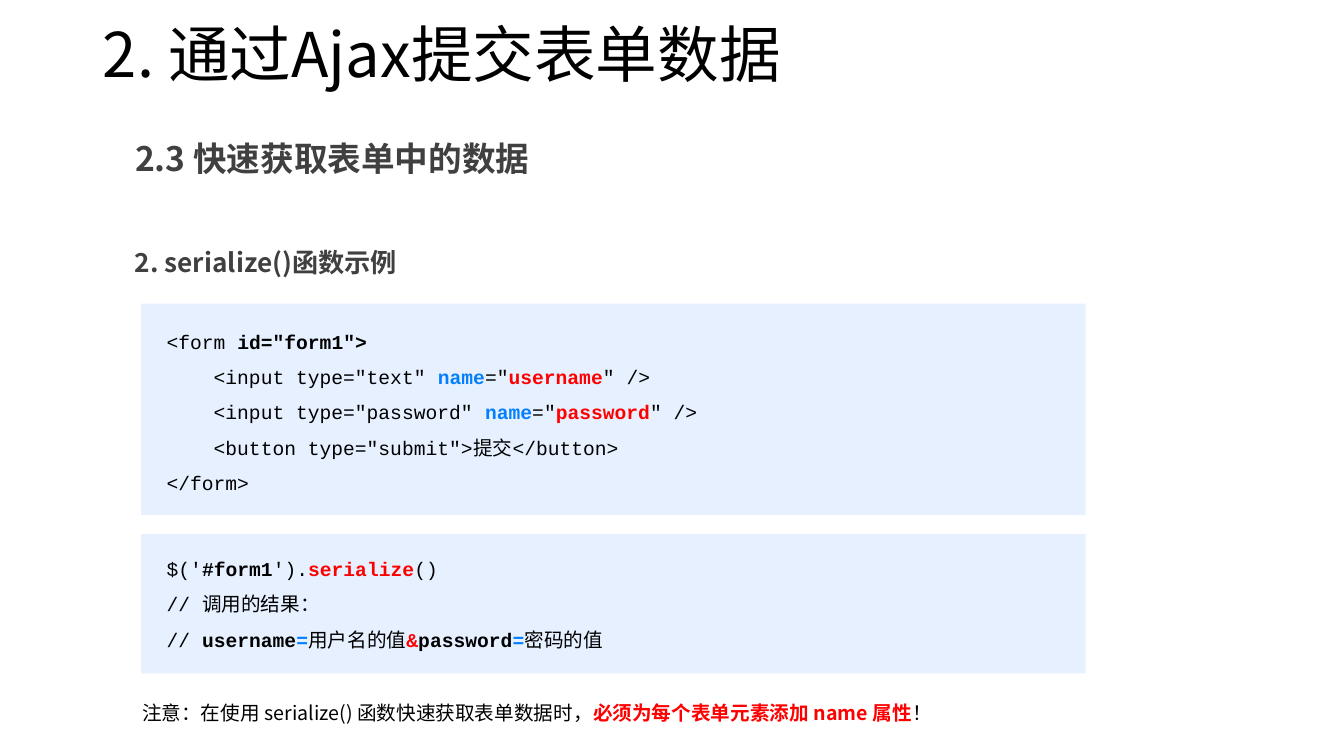
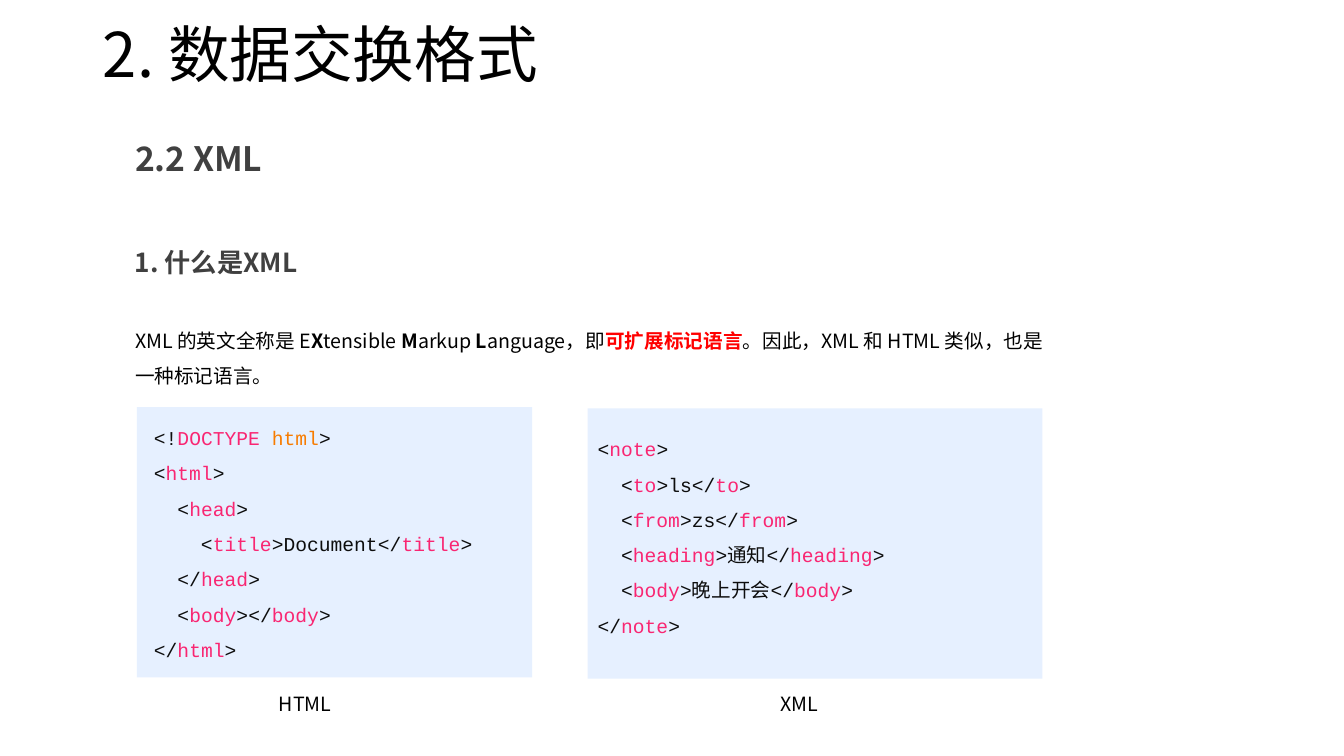
from lxml.etree import SubElement
from pptx import Presentation
from pptx.dml.color import RGBColor
from pptx.enum.shapes import MSO_SHAPE
from pptx.enum.text import MSO_ANCHOR, MSO_AUTO_SIZE, PP_ALIGN
from pptx.oxml.ns import qn
from pptx.util import Cm, Pt

SANS = "Noto Sans CJK SC"
MONO = "Courier New"
BLACK, GREY, CODE_INK, PANEL = "000000", "404040", "0D0D0D", "E6F0FF"
# Span styles: colour and bold
STRONG = (BLACK, True)
RED = ("FF0000", True)
BLUE = ("047FFD", True)
TAG = ("F92672", False)
VALUE = ("F77C00", False)
HEADING = (GREY, True)


def write(frame, lines, size, font=SANS, base=(BLACK, False), spacing=1.5):
    """Fill a frame; a line is a list of plain strings and (text, style) pairs."""
    frame.auto_size = MSO_AUTO_SIZE.NONE
    frame.word_wrap = True
    for number, spans in enumerate(lines):
        para = frame.add_paragraph() if number else frame.paragraphs[0]
        para.alignment = PP_ALIGN.LEFT
        para.line_spacing = spacing
        para.space_before = Pt(0)
        properties = para._p.get_or_add_pPr()
        properties.set("marL", "0")
        properties.set("indent", "0")
        SubElement(properties, qn("a:buNone"))
        for span in spans:
            text, (colour, bold) = (span, base) if isinstance(span, str) else span
            run = para.add_run()
            run.text = text
            run.font.name = font
            run.font.size = Pt(size)
            run.font.bold = bold
            run.font.color.rgb = RGBColor.from_string(colour)
            SubElement(run._r.get_or_add_rPr(), qn("a:ea")).set("typeface", SANS)


def add_code_panel(page, place, inset, lines, ink=BLACK):
    panel = page.shapes.add_shape(MSO_SHAPE.RECTANGLE, *map(Cm, place))
    panel.shadow.inherit = False
    panel.fill.solid()
    panel.fill.fore_color.rgb = RGBColor.from_string(PANEL)
    panel.line.fill.background()
    frame = panel.text_frame
    frame.vertical_anchor = MSO_ANCHOR.TOP
    frame.margin_left, frame.margin_top = map(Cm, inset)
    write(frame, lines, 14, MONO, (ink, False))


deck = Presentation()
deck.slide_width, deck.slide_height = Cm(33.87), Cm(19.05)

# Title, section and heading of every page; layout 1 has one body, layout 3 two
pages = []
for layout, title, section, heading in (
    (1, "2. 通过Ajax提交表单数据", "2.3 快速获取表单中的数据", "2. serialize()函数示例"),
    (3, "2. 数据交换格式", "2.2 XML", "1. 什么是XML"),
):
    page = deck.slides.add_slide(deck.slide_layouts[layout])
    heading_box = page.shapes.add_textbox(0, 0, 0, 0)
    for box, text, place, size, style in (
        (page.shapes.title, title, (2.34, 0, 24.94, 2.92), 44, (BLACK, False)),
        (page.placeholders[1], section, (3.15, 3.45, 24.13, 2.01), 24, HEADING),
        (heading_box, heading, (3.15, 6.17, 24.03, 0.97), 18.7, HEADING),
    ):
        box.left, box.top, box.width, box.height = map(Cm, place)
        write(box.text_frame, [[text]], size, base=style, spacing=0.9)
    page.shapes.title.text_frame.vertical_anchor = MSO_ANCHOR.MIDDLE
    pages.append(page)
form_page, xml_page = pages

# Form serialization
add_code_panel(form_page, (3.56, 7.65, 23.8, 5.33), (0.64, 0.36), [
    ["<form ", ('id="form1">', STRONG)],
    ['    <input type="text" ', ("name", BLUE), '="', ("username", RED), '" />'],
    ['    <input type="password" ', ("name", BLUE), '="', ("password", RED), '" />'],
    ['    <button type="submit">提交</button>'],
    ["</form>"],
])
add_code_panel(form_page, (3.56, 13.46, 23.8, 3.51), (0.64, 0.28), [
    ["$('", ("#form1", STRONG), "').", ("serialize", RED), "()"],
    ["// 调用的结果："],
    ["// ", ("username", STRONG), ("=", BLUE), "用户名的值", ("&", RED),
     ("password", STRONG), ("=", BLUE), "密码的值"],
])
note = form_page.shapes.add_textbox(Cm(3.33), Cm(17.25), Cm(24.94), Cm(1.57))
write(note.text_frame, [[
    "注意：在使用 serialize() 函数快速获取表单数据时，",
    ("必须为每个表单元素添加 name 属性", RED), "！",
]], 14)

# XML beside HTML
intro = xml_page.placeholders[2]
intro.left, intro.top, intro.width, intro.height = map(Cm, (3.15, 7.87, 23.44, 2.29))
write(intro.text_frame, [[
    "XML 的英文全称是 E", ("X", STRONG), "tensible ", ("M", STRONG), "arkup ",
    ("L", STRONG), "anguage，即", ("可扩展标记语言", RED),
    "。因此，XML 和 HTML 类似，也是一种标记语言。",
]], 14)

add_code_panel(xml_page, (3.45, 10.26, 9.96, 6.81), (0.43, 0.18), [
    ["<!", ("DOCTYPE ", TAG), ("html", VALUE), ">"],
    ["<", ("html", TAG), ">"],
    ["  <", ("head", TAG), ">"],
    ["    <", ("title", TAG), ">Document</", ("title", TAG), ">"],
    ["  </", ("head", TAG), ">"],
    ["  <", ("body", TAG), "></", ("body", TAG), ">"],
    ["</", ("html", TAG), ">"],
], CODE_INK)

fields = (("to", "ls"), ("from", "zs"), ("heading", "通知"), ("body", "晚上开会"))
add_code_panel(xml_page, (14.81, 10.29, 11.46, 6.81), (0.25, 0.43), [
    ["<", ("note", TAG), ">"],
    *[["  <", (tag, TAG), f">{content}</", (tag, TAG), ">"] for tag, content in fields],
    ["</", ("note", TAG), ">"],
], CODE_INK)

for caption, left, width in (("HTML", 6.78, 1.93), ("XML", 19.41, 1.57)):
    box = xml_page.shapes.add_textbox(Cm(left), Cm(17.3), Cm(width), Cm(0.86))
    write(box.text_frame, [[caption]], 14, spacing=1)
    box.text_frame.word_wrap = False

deck.save("out.pptx")
